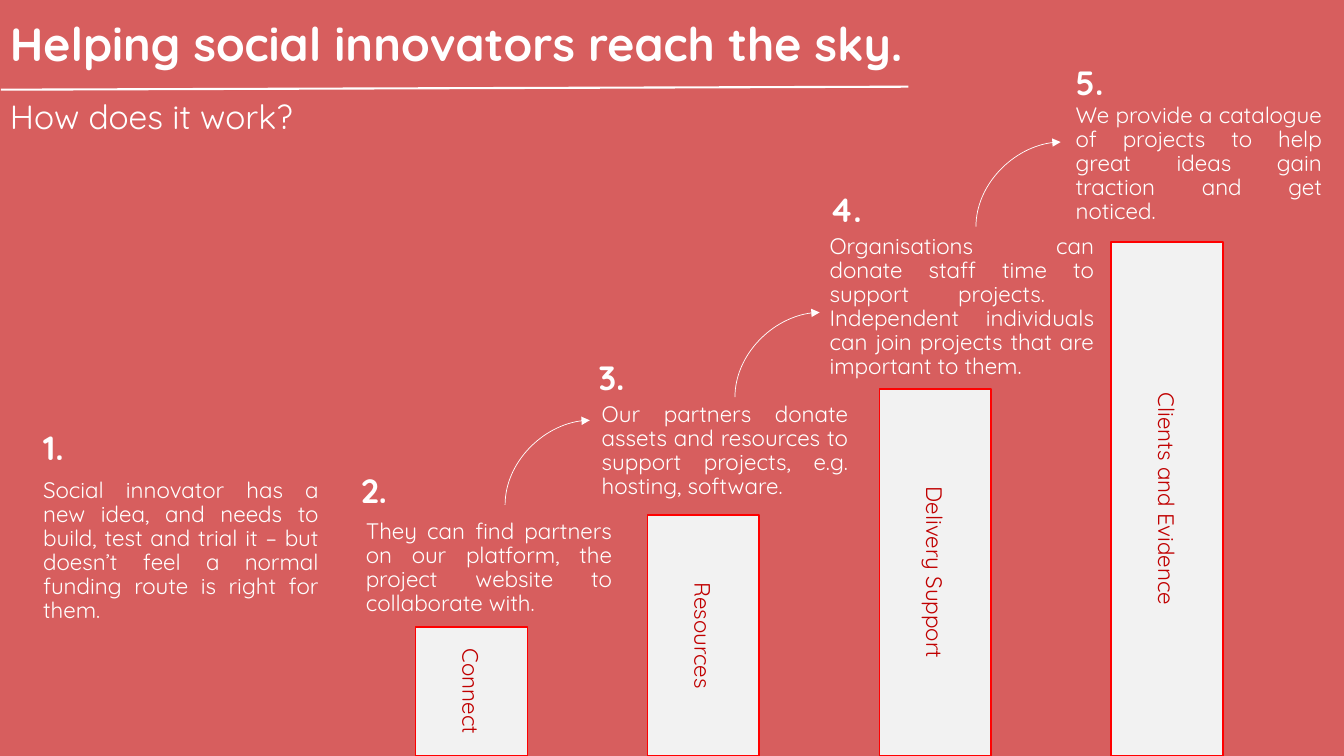
from dataclasses import dataclass

from lxml.etree import SubElement
from pptx import Presentation
from pptx.dml.color import RGBColor
from pptx.enum.shapes import MSO_CONNECTOR, MSO_SHAPE
from pptx.enum.text import MSO_ANCHOR, PP_ALIGN
from pptx.oxml.ns import qn
from pptx.util import Inches, Pt


@dataclass(frozen=True)
class Theme:
    """Colours, font and type sizes of the slide."""
    background: RGBColor = RGBColor(0xD7, 0x5E, 0x5E)
    light: RGBColor = RGBColor(0xFF, 0xFF, 0xFF)
    bar_fill: RGBColor = RGBColor(0xF2, 0xF2, 0xF2)
    bar_line: RGBColor = RGBColor(0xFF, 0x00, 0x00)
    bar_text: RGBColor = RGBColor(0xC0, 0x00, 0x00)
    font: str = "Quicksand"
    title: float = 33.3
    heading: float = 24
    body: float = 16


THEME = Theme()
SLIDE_WIDTH, SLIDE_HEIGHT = 13.33, 7.5
BAR_LEFT, BAR_PITCH, BAR_WIDTH = 4.12, 2.3, 1.11
ARROW_SIZE = 0.84

STEPS = [
    ((0.33, 4.23), (0.33, 4.7, 2.93, 1.9),
     "Social innovator has a new idea, and needs to build, test and trial it "
     "– but doesn’t feel a normal funding route is right for them."),
    ((3.48, 4.66), (3.53, 5.11, 2.64, 1.11),
     "They can find partners on our platform, the project website to collaborate with."),
    ((5.84, 3.54), (5.87, 3.95, 2.64, 1.11),
     "Our partners donate assets and resources to support projects, e.g. hosting, software."),
    ((8.13, 1.87), (8.13, 2.28, 2.82, 1.11),
     "Organisations can donate staff time to support projects.  "
     "Independent individuals can join projects that are important to them."),
    ((10.57, 0.61), (10.57, 0.98, 2.64, 1.11),
     "We provide a catalogue of projects to help great ideas gain traction and get noticed."),
]
BARS = [("Connect", 6.22), ("Resources", 5.11),
        ("Delivery Support", 3.86), ("Clients and Evidence", 2.4)]
ARROW_STARTS = [(5.01, 5.01), (7.29, 3.94), (9.68, 2.25)]


def write_text(shape, text, size, color, alignment, bold=False):
    """Put one formatted paragraph into a shape and return it."""
    shape.text_frame.word_wrap = True
    paragraph = shape.text_frame.paragraphs[0]
    paragraph.text = text
    paragraph.alignment = alignment
    font = paragraph.runs[0].font
    font.name, font.size, font.bold = THEME.font, Pt(size), bold
    font.color.rgb = color
    return paragraph


def add_text(slide, box, text, size, bold=False, alignment=PP_ALIGN.JUSTIFY):
    """Add a white text box with tightened lines."""
    text_box = slide.shapes.add_textbox(*map(Inches, box))
    paragraph = write_text(text_box, text, size, THEME.light, alignment, bold)
    paragraph.line_spacing = 0.9


def add_bar(slide, left, top, label):
    """Add a bar that stands on the slide's bottom edge, with a vertical label."""
    box = (left, top, BAR_WIDTH, SLIDE_HEIGHT - top)
    bar = slide.shapes.add_shape(MSO_SHAPE.RECTANGLE, *map(Inches, box))
    bar.shadow.inherit = False
    bar.fill.solid()
    bar.fill.fore_color.rgb = THEME.bar_fill
    bar.line.color.rgb = THEME.bar_line
    bar.line.width = Pt(1)
    write_text(bar, label, THEME.body, THEME.bar_text, PP_ALIGN.CENTER)
    bar.text_frame.vertical_anchor = MSO_ANCHOR.MIDDLE
    bar.text_frame._txBody.bodyPr.set("vert", "vert")


def add_line(slide, kind, start, end, width):
    """Add a white connector without a shadow."""
    connector = slide.shapes.add_connector(kind, *map(Inches, (*start, *end)))
    connector.line.color.rgb = THEME.light
    connector.line.width = Pt(width)
    SubElement(connector._element.spPr, qn("a:effectLst"))
    return connector


def add_arrow(slide, left, bottom):
    """Add a quarter-turn arrow that rises and then heads right."""
    top_left = (left, bottom - ARROW_SIZE)
    bottom_right = (left + ARROW_SIZE, bottom)
    arrow = add_line(slide, MSO_CONNECTOR.CURVE, bottom_right, top_left, 0.5)
    properties = arrow._element.spPr
    properties.find(qn("a:xfrm")).set("rot", "5400000")
    properties.find(qn("a:prstGeom")).set("prst", "curvedConnector2")
    SubElement(properties.find(qn("a:ln")), qn("a:tailEnd"), type="triangle")


def main():
    """Build the slide and save it."""
    presentation = Presentation()
    presentation.slide_width = Inches(SLIDE_WIDTH)
    presentation.slide_height = Inches(SLIDE_HEIGHT)
    slide = presentation.slides.add_slide(presentation.slide_layouts[6])
    slide.background.fill.solid()
    slide.background.fill.fore_color.rgb = THEME.background

    add_line(slide, MSO_CONNECTOR.STRAIGHT, (0.01, 0.89), (9.01, 0.86), 1.5)
    add_text(slide, (0, 0.16, 9.42, 0.69), "Helping social innovators reach the sky.",
             THEME.title, bold=True, alignment=PP_ALIGN.LEFT)
    add_text(slide, (0, 0.95, 3.26, 0.52), "How does it work?", THEME.heading)

    for index, (label, top) in enumerate(BARS):
        add_bar(slide, BAR_LEFT + index * BAR_PITCH, top, label)
    for left, bottom in ARROW_STARTS:
        add_arrow(slide, left, bottom)
    for number, (corner, box, text) in enumerate(STEPS, start=1):
        add_text(slide, box, text, THEME.body)
        add_text(slide, (*corner, 0.57, 0.48), f"{number}.", THEME.heading, bold=True)

    presentation.save("out.pptx")


main()
